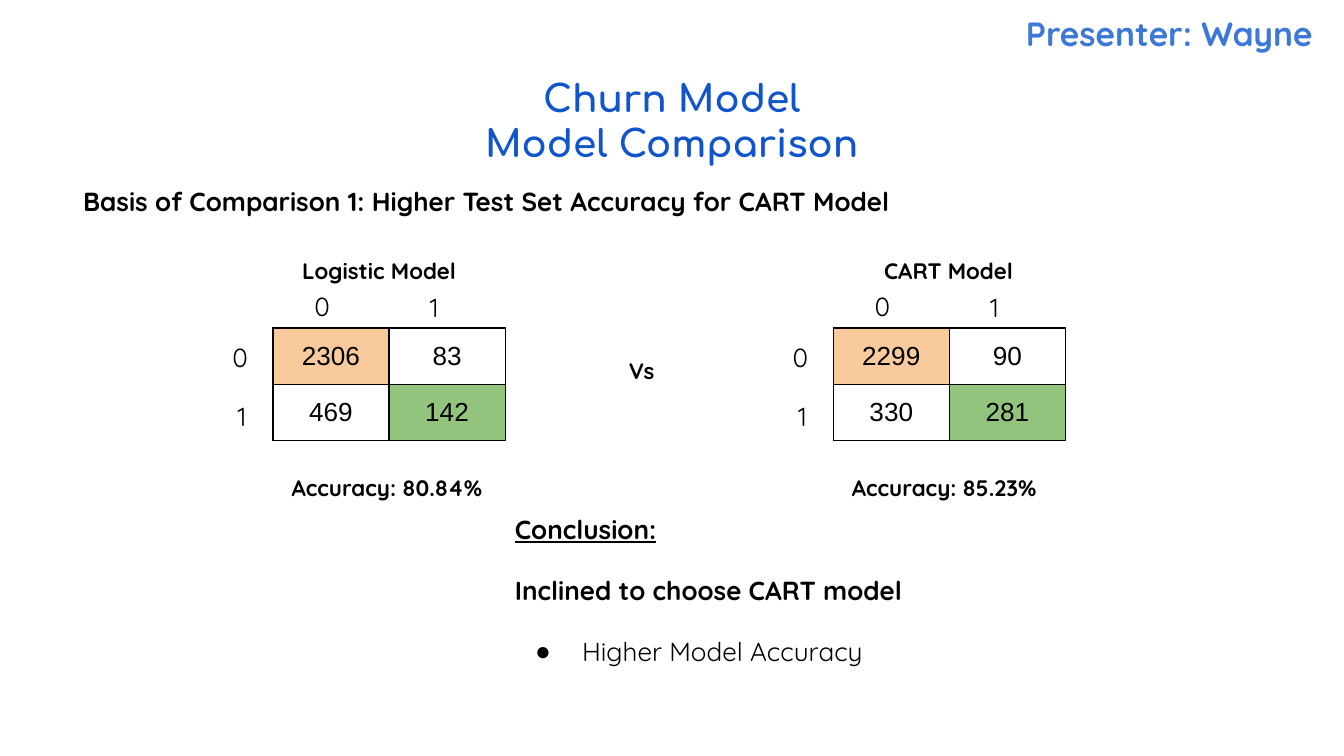
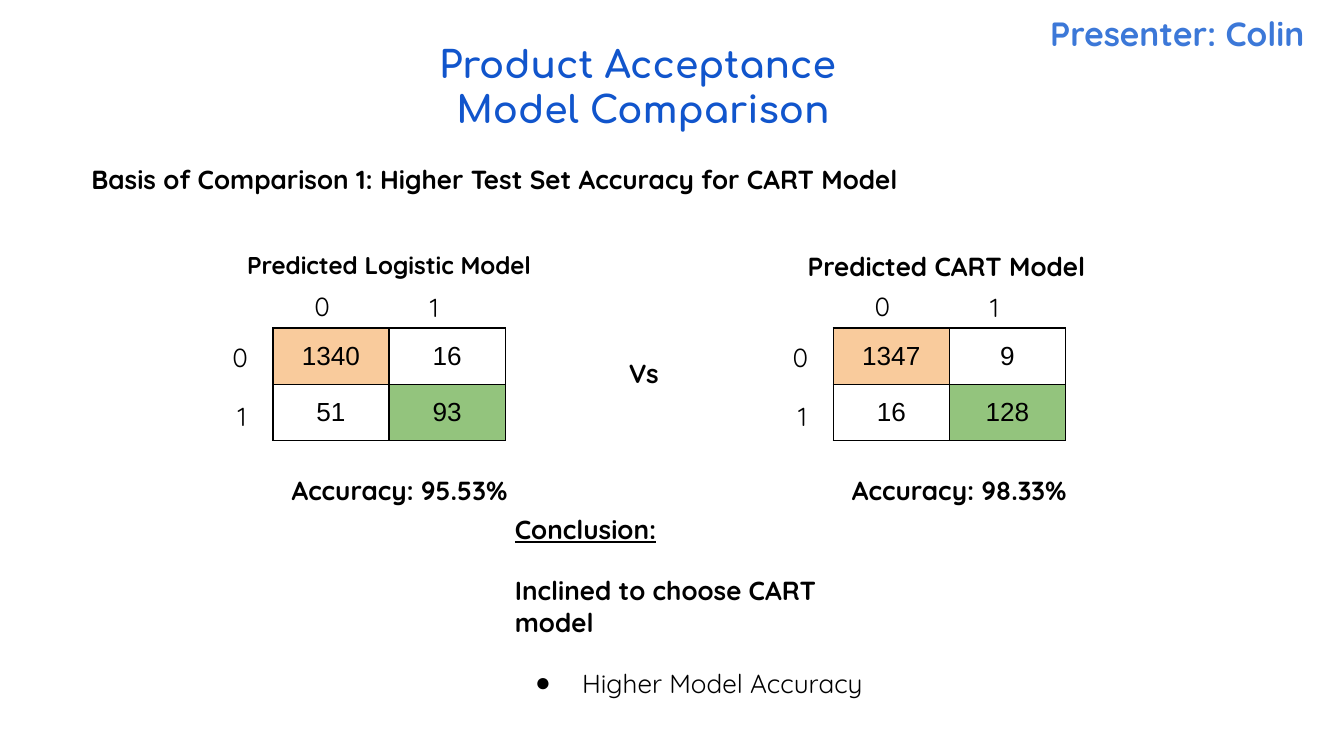
from lxml import etree
from pptx import Presentation
from pptx.dml.color import RGBColor
from pptx.enum.text import MSO_ANCHOR, MSO_AUTO_SIZE, PP_ALIGN
from pptx.oxml.ns import qn
from pptx.util import Pt

LEFT, CENTER = PP_ALIGN.LEFT, PP_ALIGN.CENTER
TOP = MSO_ANCHOR.TOP
NO_FIT = MSO_AUTO_SIZE.NONE

COLORS = {
    "text": "000000",
    "title": "1155CC",
    "presenter": "3C78D8",
    "true_negative": "F9CB9C",
    "true_positive": "93C47D",
}
TITLE_FONT, TEXT_FONT, TABLE_FONT = "Comfortaa", "Quicksand", "Arial"

BASIS = "Basis of Comparison 1: Higher Test Set Accuracy for CART Model"
CONCLUSION = ["Conclusion:", "Inclined to choose CART model", "Higher Model Accuracy"]

COMPARISONS = [
    {
        "title": ("Churn Model\nModel Comparison", (188.6, 33.1, 342.7, 45.4)),
        "presenter": ("Presenter: Wayne", 532.8),
        "basis_at": (37.4, 92.2),
        "versus_size": 12,
        "accuracy_size": 12,
        "conclusion_width": 270,
        "heading_top": 130.3,
        "models": [
            {"heading": ("Logistic Model", 154.8, 166.3, 12),
             "counts": [[2306, 83], [469, 142]], "accuracy": "Accuracy: 80.84%"},
            {"heading": ("CART Model", 466.6, 100.1, 12),
             "counts": [[2299, 90], [330, 281]], "accuracy": "Accuracy: 85.23%"},
        ],
    },
    {
        "title": ("Product Acceptance \nModel Comparison", (157.7, 15.1, 373.7, 45.4)),
        "presenter": ("Presenter: Colin", 537.1),
        "basis_at": (41.8, 80.6),
        "versus_size": 14,
        "accuracy_size": 14,
        "conclusion_width": 207.4,
        "heading_top": 126.7,
        "models": [
            {"heading": ("Predicted Logistic Model", 125.3, 182.2, 13),
             "counts": [[1340, 16], [51, 93]], "accuracy": "Accuracy: 95.53%"},
            {"heading": ("Predicted CART Model", 425.5, 166.3, 14),
             "counts": [[1347, 9], [16, 128]], "accuracy": "Accuracy: 98.33%"},
        ],
    },
]

MATRIX_LEFT, MATRIX_TOP, MATRIX_STEP = 146.2, 175.7, 300.2
CELL_WIDTH, CELL_HEIGHT = 62.2, 30
CLASS_LABELS = [("0", 15.1, -27.4), ("1", 77, -26.6), ("0", -28.8, 0), ("1", -25.9, 31.7)]


def style(paragraph, size, color="text", font=TEXT_FONT, bold=False, align=LEFT, underline=False):
    paragraph.alignment = align
    for run in paragraph.runs:
        run.font.size = Pt(size)
        run.font.name = font
        run.font.bold = bold
        run.font.underline = underline
        run.font.color.rgb = RGBColor.from_string(COLORS[color])


def place(shape, box):
    shape.left, shape.top, shape.width, shape.height = map(Pt, box)
    frame = shape.text_frame
    frame.word_wrap = True
    frame.auto_size = NO_FIT
    frame.vertical_anchor = TOP
    frame.margin_left = frame.margin_right = frame.margin_top = frame.margin_bottom = Pt(7.2)
    return frame


def add_label(slide, text, box, size, **look):
    frame = place(slide.shapes.add_textbox(0, 0, 0, 0), box)
    frame.text = text
    style(frame.paragraphs[0], size, **look)


def add_borders(cell):
    properties = cell._tc.get_or_add_tcPr()
    for side in ("a:lnL", "a:lnR", "a:lnT", "a:lnB"):
        line = etree.SubElement(properties, qn(side), w=str(Pt(0.75)))
        fill = etree.SubElement(line, qn("a:solidFill"))
        etree.SubElement(fill, qn("a:srgbClr"), val=COLORS["text"])


def add_matrix(slide, counts, left):
    table = slide.shapes.add_table(2, 2, Pt(left), Pt(MATRIX_TOP),
                                   Pt(2 * CELL_WIDTH), Pt(2 * CELL_HEIGHT)).table
    table.first_row = table.horz_banding = False
    fills = {(0, 0): "true_negative", (1, 1): "true_positive"}
    for row, values in enumerate(counts):
        for column, count in enumerate(values):
            cell = table.cell(row, column)
            cell.text = str(count)
            cell.margin_left = cell.margin_right = cell.margin_top = cell.margin_bottom = Pt(7.2)
            style(cell.text_frame.paragraphs[0], 14, font=TABLE_FONT, align=CENTER)
            add_borders(cell)
            if (row, column) in fills:
                cell.fill.solid()
                cell.fill.fore_color.rgb = RGBColor.from_string(COLORS[fills[row, column]])
            else:
                cell.fill.background()
    for label, dx, dy in CLASS_LABELS:
        add_label(slide, label, (left + dx, MATRIX_TOP + dy, 28.8, 14.4), 14)


def set_bullet(paragraph, bulleted):
    properties = paragraph._p.get_or_add_pPr()
    properties.set("marL", str(Pt(36 if bulleted else 0)))
    properties.set("indent", str(Pt(-25.2 if bulleted else 0)))
    if bulleted:
        color = etree.SubElement(properties, qn("a:buClr"))
        etree.SubElement(color, qn("a:srgbClr"), val=COLORS["text"])
        etree.SubElement(properties, qn("a:buChar"), char="●")
    else:
        etree.SubElement(properties, qn("a:buNone"))


def add_conclusion(body, width):
    frame = place(body, (268.6, 267.8, width, 126))
    frame.text = "\n".join(CONCLUSION)
    for index, paragraph in enumerate(frame.paragraphs):
        set_bullet(paragraph, index == 2)
        paragraph.space_before = Pt(16 if index else 0)
        style(paragraph, 14, bold=index < 2, underline=index == 0)


def add_comparison(deck, comparison):
    slide = deck.slides.add_slide(deck.slide_layouts[1])
    title, title_box = comparison["title"]
    title_frame = place(slide.shapes.title, title_box)
    title_frame.text = title
    for paragraph in title_frame.paragraphs:
        style(paragraph, 20, "title", TITLE_FONT, bold=True, align=CENTER)

    add_label(slide, BASIS, (*comparison["basis_at"], 471.6, 21.6), 14, bold=True)
    add_label(slide, "Vs", (329.8, 184.3, 43.2, 21.6), comparison["versus_size"], bold=True)
    for index, model in enumerate(comparison["models"]):
        left = MATRIX_LEFT + index * MATRIX_STEP
        heading, heading_left, width, size = model["heading"]
        add_label(slide, heading, (heading_left, comparison["heading_top"], width, 21.6),
                  size, bold=True)
        add_matrix(slide, model["counts"], left)
        add_label(slide, model["accuracy"], (left + 2.9, 247, 166.3, 21.6),
                  comparison["accuracy_size"], bold=True)

    add_conclusion(slide.placeholders[1], comparison["conclusion_width"])
    presenter, presenter_left = comparison["presenter"]
    add_label(slide, presenter, (presenter_left, 0, 187.2, 38.2), 18,
              color="presenter", bold=True, align=CENTER)


def main():
    deck = Presentation()
    deck.slide_width, deck.slide_height = Pt(720), Pt(405)
    for comparison in COMPARISONS:
        add_comparison(deck, comparison)
    deck.save("out.pptx")


if __name__ == "__main__":
    main()
